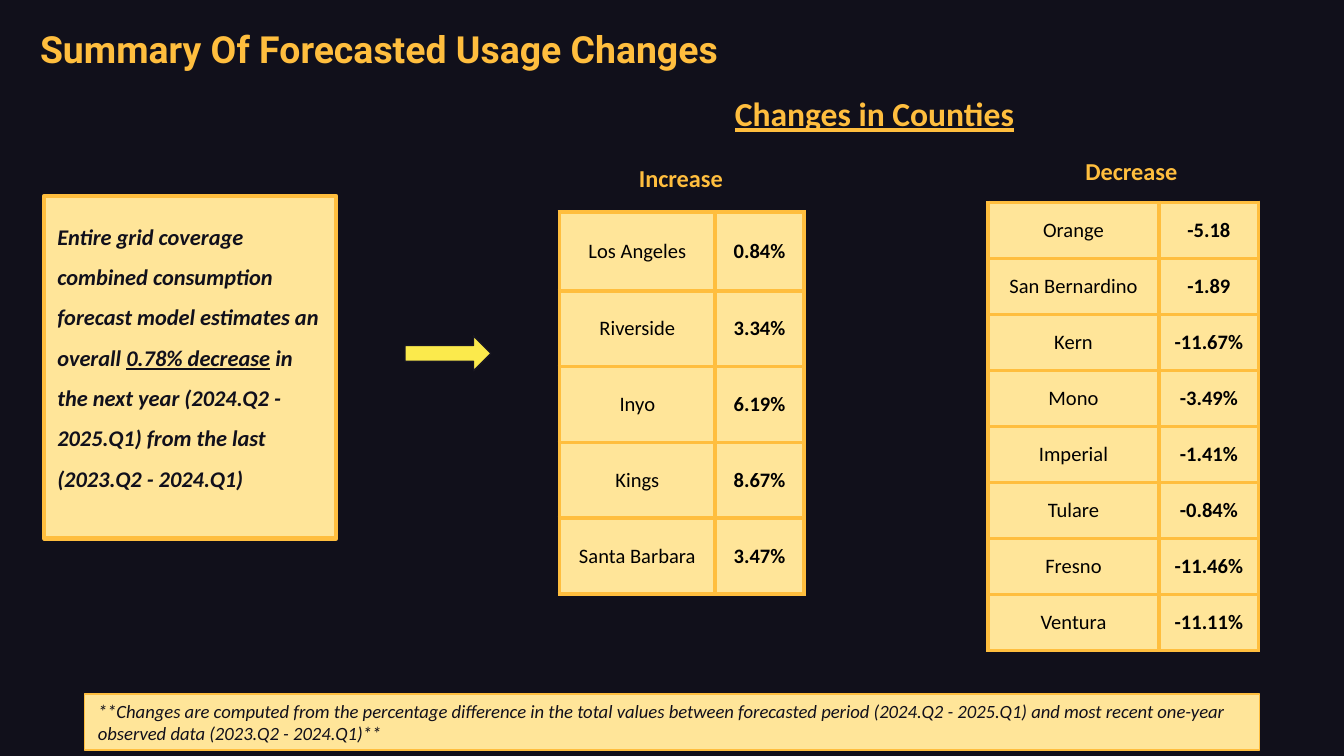
from dataclasses import dataclass
from typing import Any, NamedTuple

import pptx
import pptx.dml.color
import pptx.enum.shapes
import pptx.enum.text
import pptx.oxml
import pptx.oxml.ns
import pptx.util

Pt = pptx.util.Pt
Align = pptx.enum.text.PP_ALIGN
Anchor = pptx.enum.text.MSO_ANCHOR
Preset = pptx.enum.shapes.MSO_SHAPE


@dataclass(frozen=True)
class Theme:
    night: str = "11101B"
    gold: str = "FFBE3E"
    cream: str = "FFE599"
    black: str = "000000"
    arrow: str = "FBEA4C"
    arrow_edge: str = "181622"
    body_font: str = "Calibri"
    title_font: str = "Roboto"
    title_size: float = 20
    section_size: float = 18
    heading_size: float = 13
    summary_size: float = 12
    cell_size: float = 11
    footnote_size: float = 10
    thick: float = 2.25
    thin: float = 0.75
    inset: float = 7.2


THEME = Theme()


class Box(NamedTuple):
    left: float
    top: float
    width: float
    height: float

    def lengths(self) -> list[int]:
        return [Pt(length) for length in self]


@dataclass(frozen=True)
class TextStyle:
    size: float
    color: str
    font: str = THEME.body_font
    bold: bool = False
    italic: bool = False
    underline: bool = False
    align: Any = Align.LEFT
    anchor: Any = Anchor.TOP
    line_spacing: float = 1.0


@dataclass(frozen=True)
class Label:
    text: str
    box: Box
    style: TextStyle


@dataclass(frozen=True)
class CountyTable:
    left: float
    top: float
    columns: tuple[float, float]
    first_row: float
    other_rows: float
    changes: dict[str, str]


def rgb(color: str) -> pptx.dml.color.RGBColor:
    return pptx.dml.color.RGBColor.from_string(color)


def set_margins(holder: Any) -> None:
    for side in ("left", "right", "top", "bottom"):
        setattr(holder, f"margin_{side}", Pt(THEME.inset))


def style_paragraph(paragraph: Any, style: TextStyle) -> None:
    paragraph.alignment = style.align
    paragraph.line_spacing = style.line_spacing
    font = paragraph.font
    font.name, font.size = style.font, Pt(style.size)
    font.bold, font.italic, font.underline = style.bold, style.italic, style.underline
    font.color.rgb = rgb(style.color)


def write(frame: Any, style: TextStyle, *parts: str) -> Any:
    set_margins(frame)
    frame.word_wrap = True
    frame.vertical_anchor = style.anchor
    paragraph = frame.paragraphs[0]
    for part in parts:
        paragraph.add_run().text = part
    style_paragraph(paragraph, style)
    return paragraph


def draw_label(slide: Any, label: Label) -> None:
    write(slide.shapes.add_textbox(*label.box.lengths()).text_frame, label.style, label.text)


def draw_shape(slide: Any, preset: Any, box: Box, fill: str, edge: str, weight: float) -> Any:
    shape = slide.shapes.add_shape(preset, *box.lengths())
    shape.shadow.inherit = False
    shape.fill.solid()
    shape.fill.fore_color.rgb = rgb(fill)
    shape.line.color.rgb = rgb(edge)
    shape.line.width = Pt(weight)
    return shape


def add_borders(cell: Any) -> None:
    properties = cell._tc.get_or_add_tcPr()
    for side in ("lnL", "lnR", "lnT", "lnB"):
        properties.append(pptx.oxml.parse_xml(
            f'<a:{side} {pptx.oxml.ns.nsdecls("a")} w="{Pt(THEME.thick)}">'
            f'<a:solidFill><a:srgbClr val="{THEME.gold}"/></a:solidFill></a:{side}>'))


def draw_county_table(slide: Any, counties: CountyTable) -> None:
    heights = [counties.first_row] + [counties.other_rows] * (len(counties.changes) - 1)
    box = Box(counties.left, counties.top, sum(counties.columns), sum(heights))
    table = slide.shapes.add_table(len(heights), 2, *box.lengths()).table
    table.first_row = table.horz_banding = False
    for column, width in zip(table.columns, counties.columns):
        column.width = Pt(width)
    for row, height, entry in zip(table.rows, heights, counties.changes.items()):
        row.height = Pt(height)
        for cell, text, bold in zip(row.cells, entry, (False, True)):
            add_borders(cell)
            cell.fill.solid()
            cell.fill.fore_color.rgb = rgb(THEME.cream)
            set_margins(cell)
            cell.vertical_anchor = Anchor.MIDDLE
            paragraph = cell.text_frame.paragraphs[0]
            paragraph.add_run().text = text
            style_paragraph(paragraph, TextStyle(
                THEME.cell_size, THEME.black, bold=bold, align=Align.CENTER))


HEADING = TextStyle(THEME.heading_size, THEME.gold, bold=True, align=Align.CENTER)
LABELS = [
    Label("Summary Of Forecasted Usage Changes", Box(14.4, 6.5, 388, 39),
          TextStyle(THEME.title_size, THEME.gold, THEME.title_font, bold=True, anchor=Anchor.MIDDLE)),
    Label("Changes in Counties", Box(386.6, 42.5, 193.7, 30),
          TextStyle(THEME.section_size, THEME.gold, bold=True, underline=True)),
    Label("Increase", Box(318.2, 80, 93, 29), HEADING),
    Label("Decrease", Box(559.5, 76.5, 93, 29), HEADING),
]
TABLES = [
    CountyTable(299.7, 113.6, (83.5, 47.5), 42.2, 40.6, {
        "Los Angeles": "0.84%", "Riverside": "3.34%", "Inyo": "6.19%",
        "Kings": "8.67%", "Santa Barbara": "3.47%"}),
    CountyTable(529.2, 108.5, (91.8, 53.3), 30, 30, {
        "Orange": "-5.18", "San Bernardino": "-1.89", "Kern": "-11.67%",
        "Mono": "-3.49%", "Imperial": "-1.41%", "Tulare": "-0.84%",
        "Fresno": "-11.46%", "Ventura": "-11.11%"}),
]


def main() -> None:
    deck = pptx.Presentation()
    deck.slide_width, deck.slide_height = Pt(720), Pt(405)
    slide = deck.slides.add_slide(deck.slide_layouts[6])
    slide.background.fill.solid()
    slide.background.fill.fore_color.rgb = rgb(THEME.night)

    for label in LABELS:
        draw_label(slide, label)
    for counties in TABLES:
        draw_county_table(slide, counties)

    summary = draw_shape(slide, Preset.RECTANGLE, Box(23.6, 105, 156.5, 183.5),
                         THEME.cream, THEME.gold, THEME.thick)
    sentence = write(
        summary.text_frame,
        TextStyle(THEME.summary_size, THEME.night, bold=True, italic=True, line_spacing=1.5),
        "Entire grid coverage combined consumption forecast model estimates an overall ",
        "0.78% decrease",
        " in the next year (2024.Q2 - 2025.Q1) from the last (2023.Q2 - 2024.Q1)")
    sentence.runs[1].font.underline = True

    arrow = draw_shape(slide, Preset.RIGHT_ARROW, Box(217, 180, 46, 18.7),
                       THEME.arrow, THEME.arrow_edge, THEME.thin)
    arrow.adjustments[0] = 0.46

    footnote = draw_shape(slide, Preset.RECTANGLE, Box(45.4, 371.7, 629.3, 30.2),
                          THEME.cream, THEME.gold, THEME.thin)
    write(footnote.text_frame,
          TextStyle(THEME.footnote_size, THEME.night, italic=True, anchor=Anchor.MIDDLE),
          "**Changes are computed from the percentage difference in the total values between "
          "forecasted period (2024.Q2 - 2025.Q1) and most recent one-year observed data "
          "(2023.Q2 - 2024.Q1)**")

    deck.save("out.pptx")


if __name__ == "__main__":
    main()
